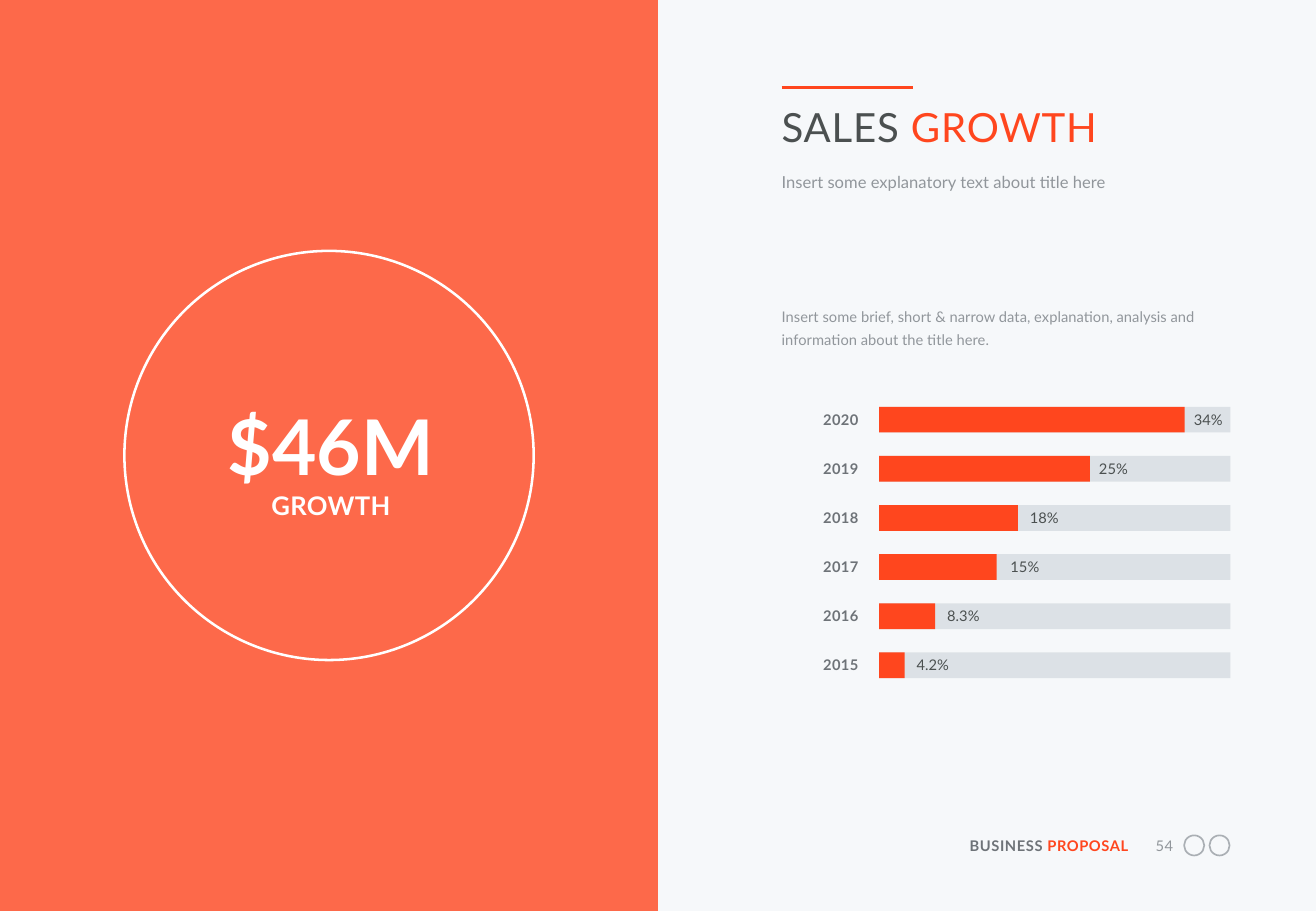
from lxml.etree import SubElement
from pptx import Presentation
from pptx.dml.color import RGBColor
from pptx.enum.shapes import MSO_CONNECTOR as Link, MSO_SHAPE as Kind
from pptx.enum.text import MSO_AUTO_SIZE as Fit, PP_ALIGN as Align
from pptx.oxml.ns import qn
from pptx.util import Inches, Pt

WIDE, HIGH = 10.83, 7.5
FONT = "Lato"
PAPER = RGBColor(0xF6, 0xF8, 0xFA)
WHITE = RGBColor(0xFF, 0xFF, 0xFF)
RED = RGBColor(0xFF, 0x46, 0x1E)
TRACK = RGBColor(0xDC, 0xE1, 0xE6)
DARK = RGBColor(0x4B, 0x50, 0x50)
SLATE = RGBColor(0x6E, 0x73, 0x78)
GREY = RGBColor(0x91, 0x96, 0x9B)
ICON = RGBColor(0xAA, 0xAF, 0xB4)
SMALL = 8.7

# Year, label, then the bar's end and the label's start as shares of the track
SALES = [
    ("2020", "34%", 0.87, 0.896),
    ("2019", "25%", 0.6, 0.626),
    ("2018", "18%", 0.395, 0.429),
    ("2017", "15%", 0.335, 0.374),
    ("2016", "8.3%", 0.16, 0.194),
    ("2015", "4.2%", 0.073, 0.107),
]


def within(box, x, y, w, h):
    """Turn shares of a box into a box in inches."""
    left, top, width, height = box
    return left + x * width, top + y * height, w * width, h * height


def style(shape, fill=None, line=None, weight=1):
    shape.shadow.inherit = False
    if fill is None:
        shape.fill.background()
    else:
        shape.fill.solid()
        shape.fill.fore_color.rgb = fill
    if line is None:
        shape.line.fill.background()
    else:
        shape.line.color.rgb = line
        shape.line.width = Pt(weight)
    return shape


def draw(shapes, kind, box, **look):
    return style(shapes.add_shape(kind, *map(Inches, box)), **look)


def write(shapes, box, runs, size, align=Align.LEFT, bold=False, track=0, lead=None):
    """Write one paragraph of (text, colour) runs; track is in points."""
    frame = shapes.add_textbox(*map(Inches, box)).text_frame
    frame.word_wrap = True
    frame.auto_size = Fit.SHAPE_TO_FIT_TEXT
    frame.margin_left = frame.margin_right = 0
    frame.margin_top = frame.margin_bottom = 0
    para = frame.paragraphs[0]
    para.alignment = align
    if lead:
        para.line_spacing = lead
    font = para.font
    font.name, font.size, font.bold = FONT, Pt(size), bold
    font.color.rgb = runs[0][1]
    for text, color in runs:
        run = para.add_run()
        run.text = text
        if color != runs[0][1]:
            run.font.color.rgb = color
        if track:
            run._r.get_or_add_rPr().set("spc", str(round(track * 100)))


def add_panel(shapes, box):
    panel = draw(shapes, Kind.RECTANGLE, box, fill=RED)
    tint = panel._element.spPr.find(qn("a:solidFill"))[0]
    SubElement(tint, qn("a:alpha"), val="80000")
    left, top, width, height = box
    size = 0.622 * width
    ring = (left + (width - size) / 2, top + (height - size) / 2, size, size)
    draw(shapes, Kind.OVAL, ring, line=WHITE, weight=1.5)
    write(shapes, within(ring, 0.17, 0.317, 0.67, 0.273), [("$46M", WHITE)],
          45.5, Align.CENTER, True, lead=1.2)
    write(shapes, within(ring, 0.17, 0.585, 0.67, 0.077), [("GROWTH", WHITE)],
          15.2, Align.CENTER, True, 0.2)


def add_head(shapes, box):
    left, top, width, _ = box
    rule = shapes.add_connector(Link.STRAIGHT, *map(
        Inches, (left, top, left + 0.293 * width, top)))
    rule.line.color.rgb = RED
    rule.line.width = Pt(2.25)
    SubElement(rule._element.spPr, qn("a:effectLst"))
    write(shapes, within(box, 0, 0.055, 1, 0.186),
          [("SALES ", DARK), ("GROWTH", RED)], 23.8, track=0.5)
    write(shapes, within(box, 0, 0.32, 1, 0.08),
          [("Insert some explanatory text about title here", GREY)], 9.8, lead=Pt(12))
    write(shapes, within(box, 0, 0.823, 1, 0.177),
          [("Insert some brief, short & narrow data, explanation, analysis and "
            "information about the title here.", GREY)], SMALL, lead=1.3)


def add_bars(shapes, box):
    left, top, width, height = box
    thick = 0.095 * height
    pitch = (height - thick) / (len(SALES) - 1)
    for row, (year, label, end, start) in enumerate(SALES):
        line = (left, top + row * pitch, width, thick)
        write(shapes, within(line, 0, 0.15, 0.171, 0.7), [(year, SLATE)],
              SMALL, Align.RIGHT, True, 0.2)
        track = within(line, 0.217, 0, 0.783, 1)
        pair = shapes.add_group_shape().shapes
        draw(pair, Kind.RECTANGLE, track, fill=TRACK)
        draw(pair, Kind.RECTANGLE, within(track, 0, 0, end, 1), fill=RED)
        write(shapes, within(track, start, 0.15, 0.1, 0.7), [(label, DARK)], SMALL)


def add_arrow(shapes, box, turn):
    """Draw a ringed chevron; turn is -1 for back and 1 for on."""
    draw(shapes, Kind.OVAL, within(box, 0.04, 0.04, 0.92, 0.92), line=ICON)
    points = [within(box, 0.5 + turn * x, y, 0, 0)[:2]
              for x, y in ((-0.12, 0.27), (0.12, 0.5), (-0.12, 0.73))]
    pen = shapes.build_freeform(*points[0], scale=Inches(1))
    pen.add_line_segments(points[1:], close=False)
    style(pen.convert_to_shape(), line=ICON, weight=1.5)


def add_foot(shapes, box):
    left, top, width, high = box
    write(shapes, within(box, 0, 0.11, 0.62, 0.83),
          [("BUSINESS ", SLATE), ("PROPOSAL", RED)], SMALL, Align.RIGHT, True, 0.3)
    write(shapes, within(box, 0.674, 0.11, 0.113, 0.83), [("54", GREY)],
          SMALL, Align.RIGHT, track=0.3)
    last = left + width - high
    add_arrow(shapes, (last - 1.16 * high, top, high, high), -1)
    add_arrow(shapes, (last, top, high, high), 1)


def main():
    deck = Presentation()
    deck.slide_width, deck.slide_height = Inches(WIDE), Inches(HIGH)
    slide = deck.slides.add_slide(deck.slide_layouts[6])
    slide.background.fill.solid()
    slide.background.fill.fore_color.rgb = PAPER
    page = (0, 0, WIDE, HIGH)
    shapes = slide.shapes
    add_foot(shapes, within(page, 0.731, 0.916, 0.204, 0.024))
    add_panel(shapes, within(page, 0, 0, 0.5, 1))
    add_bars(shapes, within(page, 0.594, 0.4465, 0.341, 0.298))
    add_head(shapes, within(page, 0.594, 0.096, 0.341, 0.287))
    deck.save("out.pptx")


if __name__ == "__main__":
    main()
